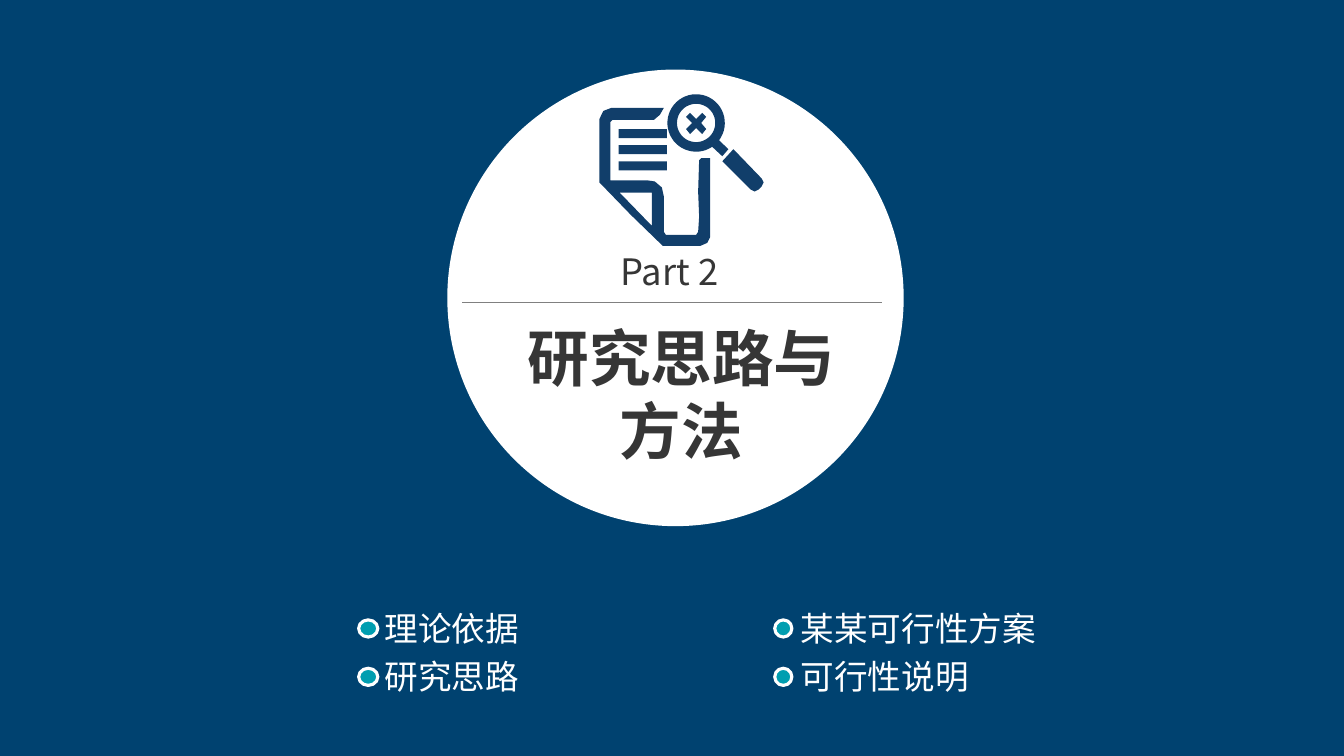
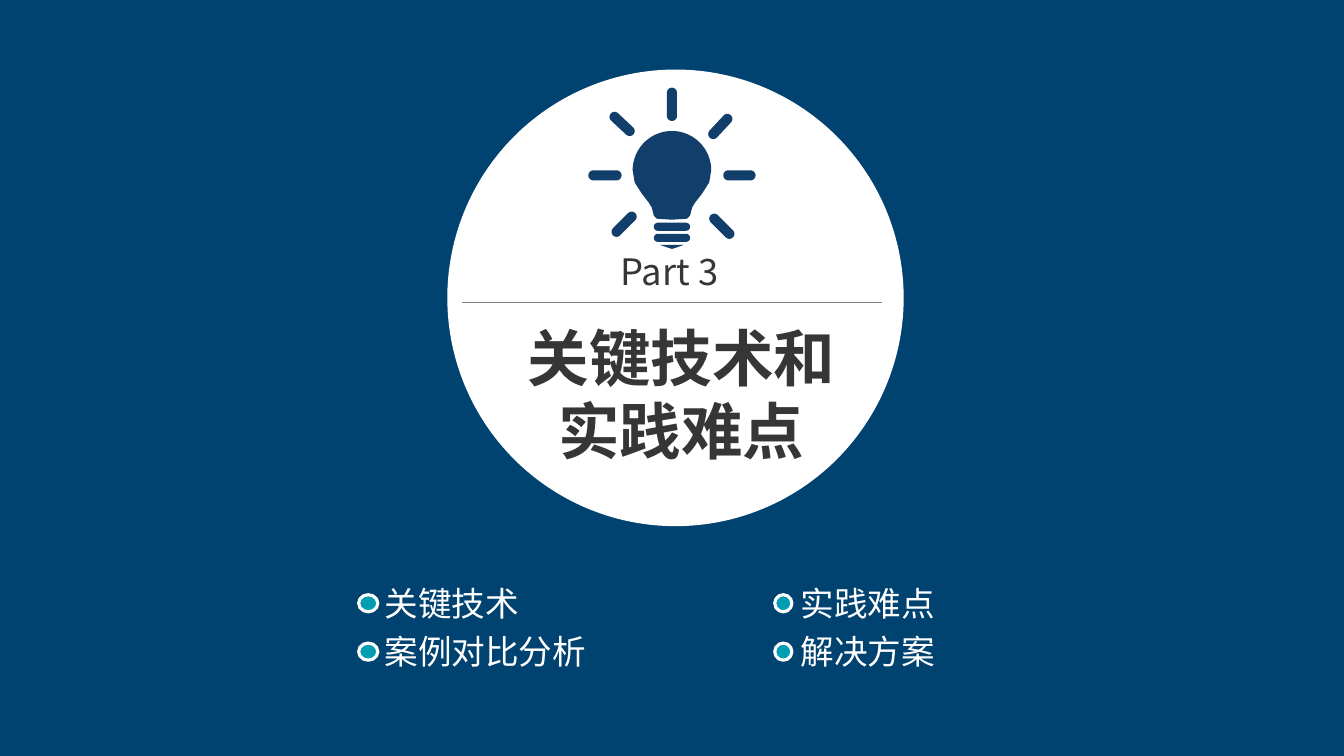
import math

import pptx
import pptx.dml.color
import pptx.enum.shapes
import pptx.enum.text
import pptx.oxml.ns
import pptx.oxml.xmlchemy
import pptx.util

RGB = pptx.dml.color.RGBColor
SHAPE = pptx.enum.shapes.MSO_SHAPE
ALIGN = pptx.enum.text.PP_ALIGN

TEAL = RGB(0x00, 0x9E, 0xB0)
NAVY = RGB(0x00, 0x33, 0x66)
ICON_BLUE = RGB(0x11, 0x3E, 0x6A)
CHARCOAL = RGB(0x36, 0x36, 0x36)
GREY = RGB(0x80, 0x80, 0x80)
WHITE = RGB(0xFF, 0xFF, 0xFF)

FONT = "Noto Sans CJK SC"
EMU_PER_PX = 9144  # 100 px to the inch
WIDTH, HEIGHT = 1334, 750
ROW_PITCH = 48
TOPIC_COLUMNS = ((356, 19, 313), (769, 17, 291))  # dot left, dot width, text width


def px(length):
    return pptx.util.Emu(round(length * EMU_PER_PX))


def add_element(parent, tag, **attributes):
    element = pptx.oxml.xmlchemy.OxmlElement(tag)
    for name, value in attributes.items():
        element.set(name, value)
    parent.append(element)


def arc(x, y, radius, start, end, steps=48):
    """Points along an arc, in degrees clockwise from the right."""
    angles = [math.radians(start + (end - start) * i / steps) for i in range(steps + 1)]
    return [(x + radius * math.cos(a), y + radius * math.sin(a)) for a in angles]


def capsule(x1, y1, x2, y2, radius):
    """Outline of a thick line with round ends."""
    heading = math.degrees(math.atan2(y2 - y1, x2 - x1))
    return (arc(x1, y1, radius, heading + 90, heading + 270, 12)
            + arc(x2, y2, radius, heading - 90, heading + 90, 12))


def rectangle(x, y, width, height):
    return [(x, y), (x + width, y), (x + width, y + height), (x, y + height)]


def document_icon():
    sheet = [(595, 118), (595, 181), (626, 213), (658, 244), (695, 244), (702, 241),
             (705, 235), (705, 157), (696, 157), (694, 159), (693, 190), (694, 215),
             (693, 230), (691, 233), (661, 233), (659, 230), (659, 195), (657, 186),
             (650, 180), (643, 179), (606, 179), (606, 121), (608, 119), (649, 119),
             (655, 114), (659, 107), (607, 107), (599, 110)]
    fold = [(647, 224), (647, 191), (615, 191)]
    text_lines = [rectangle(614, top, 48, 9) for top in (128, 144, 160)]
    lens = arc(691, 122, 28.5, 56, 397) + [(723, 148), (717, 155)]
    glass = arc(691, 122, 19, 0, 360)
    cross = [(681, 116), (685, 112), (691, 118), (697, 112), (701, 116), (696, 122),
             (701, 128), (697, 133), (691, 127), (685, 133), (681, 128), (687, 122)]
    handle = [(728, 148), (756, 177), (758, 181), (756, 185), (753, 188),
              (749, 190), (745, 188), (717, 160)]
    return [sheet, fold, *text_lines, lens, glass, cross, handle]


def bulb_icon():
    bulb = arc(667, 169, 39, 180, 360) + [
        (704, 181), (697, 192), (690, 201), (687, 206), (685, 214), (682, 217),
        (667, 218), (652, 217), (649, 214), (647, 206), (644, 201), (637, 192), (630, 181)]
    rays = [capsule(*ray, 5) for ray in (
        (667, 92, 667, 115), (589, 174, 612, 174), (723, 174, 745, 174),
        (708, 133, 722, 118), (625, 130, 610, 116),
        (627, 215, 612, 230), (709, 217, 724, 232))]
    bands = [capsule(653, y, 681, y, 4) for y in (225, 236)]
    tip = [(655, 243), (679, 243), (667, 247)]
    return [bulb, *rays, *bands, tip]


class SectionDeck:
    def __init__(self):
        self.deck = pptx.Presentation()
        self.deck.slide_width, self.deck.slide_height = px(WIDTH), px(HEIGHT)
        background = self.deck.slide_master.background.fill
        background.solid()
        background.fore_color.rgb = TEAL
        self.page = None

    def paint(self, shape, fill, line=None):
        shape.shadow.inherit = False
        shape.fill.solid()
        shape.fill.fore_color.rgb = fill
        if line is None:
            shape.line.fill.background()
        else:
            shape.line.color.rgb = line
            shape.line.width = pptx.util.Pt(2.25)
        return shape

    def shape(self, kind, left, top, width, height, fill, line=None):
        shape = self.page.shapes.add_shape(kind, px(left), px(top), px(width), px(height))
        return self.paint(shape, fill, line)

    def veil(self):
        """Tint the whole page with translucent navy."""
        veil = self.shape(SHAPE.RECTANGLE, 0, 0, WIDTH, HEIGHT, NAVY)
        colour = veil.element.spPr.find(".//" + pptx.oxml.ns.qn("a:srgbClr"))
        add_element(colour, "a:alpha", val="86000")

    def rule(self, left, right, y):
        rule = self.page.shapes.add_connector(
            pptx.enum.shapes.MSO_CONNECTOR.STRAIGHT, px(left), px(y), px(right), px(y))
        rule.line.color.rgb = GREY
        rule.line.width = pptx.util.Pt(1)
        add_element(rule.element.spPr, "a:effectLst")

    def text(self, words, left, top, width, height, size, colour,
             bold=False, align=ALIGN.LEFT, tight=False):
        """A text box; a tight one has no insets and does not wrap."""
        box = self.page.shapes.add_textbox(px(left), px(top), px(width), px(height))
        frame = box.text_frame
        frame.word_wrap = not tight
        frame.auto_size = pptx.enum.text.MSO_AUTO_SIZE.SHAPE_TO_FIT_TEXT
        if tight:
            frame.margin_left = frame.margin_right = 0
            frame.margin_top = frame.margin_bottom = 0
        para = frame.paragraphs[0]
        para.text = words
        para.alignment = align
        para.font.size = pptx.util.Pt(size)
        para.font.bold = bold
        para.font.color.rgb = colour
        para.font.name = FONT
        style = box.element.find(".//" + pptx.oxml.ns.qn("a:defRPr"))
        add_element(style, "a:ea", typeface=FONT)

    def icon(self, contours):
        """One freeform; contours inside others become holes."""
        builder = None
        for contour in contours:
            first, *rest = [(px(x), px(y)) for x, y in contour]
            if builder is None:
                builder = self.page.shapes.build_freeform(*first, scale=1.0)
            else:
                builder.move_to(*first)
            builder.add_line_segments(rest, close=True)
        self.paint(builder.convert_to_shape(), ICON_BLUE)

    def topics(self, columns, top):
        for (left, dot_width, text_width), column in zip(TOPIC_COLUMNS, columns):
            for row, topic in enumerate(column):
                y = top + row * ROW_PITCH
                self.shape(SHAPE.OVAL, left, y + 17, dot_width, 17, TEAL, WHITE)
                self.text(topic, left + 16, y, text_width, 51, 24, WHITE)

    def section(self, part, title, contours, columns, topics_top):
        self.page = self.deck.slides.add_slide(self.deck.slide_layouts[6])
        self.veil()
        self.shape(SHAPE.OVAL, 444, 69, 453, 453, WHITE)
        self.rule(459, 875, 300)
        self.text(title, 503, 312, 347, 158, 44, CHARCOAL, bold=True, align=ALIGN.CENTER)
        self.text(part, 616, 247, 102, 44, 26, CHARCOAL, tight=True)
        self.icon(contours)
        self.topics(columns, topics_top)


def main():
    sections = SectionDeck()
    sections.section("Part 2", "研究思路与方法", document_icon(),
                     (("理论依据", "研究思路"), ("某某可行性方案", "可行性说明")), 598)
    sections.section("Part 3", "关键技术和实践难点", bulb_icon(),
                     (("关键技术", "案例对比分析"), ("实践难点", "解决方案")), 573)
    sections.deck.save("out.pptx")


if __name__ == "__main__":
    main()
